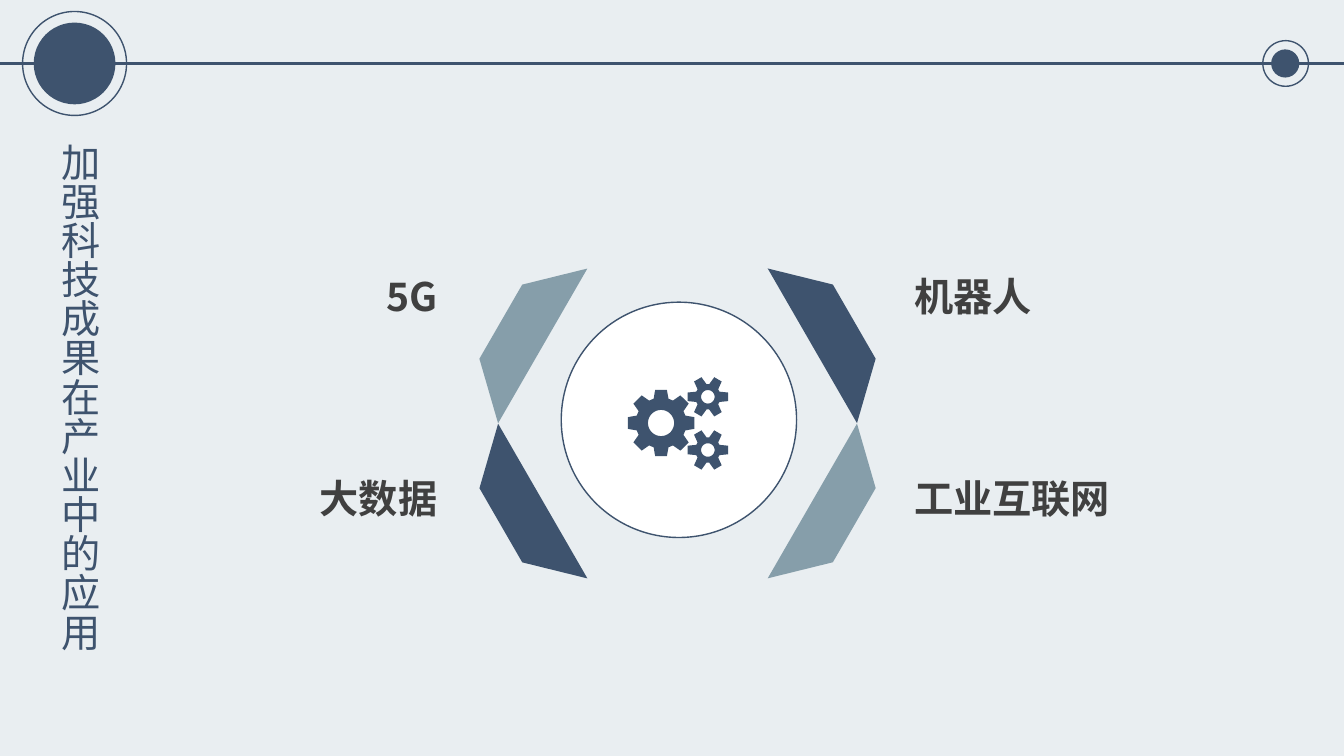
from dataclasses import dataclass
from itertools import product
from math import cos, radians, sin

from lxml.etree import SubElement
from pptx import Presentation
from pptx.dml.color import RGBColor
from pptx.enum.shapes import MSO_CONNECTOR, MSO_SHAPE
from pptx.enum.text import MSO_ANCHOR, MSO_AUTO_SIZE, PP_ALIGN
from pptx.oxml.ns import qn
from pptx.util import Cm, Pt


@dataclass(frozen=True)
class Theme:
    background: str = "E9EEF1"
    navy: str = "3E536E"
    steel: str = "869EAA"
    white: str = "FFFFFF"
    text: str = "404040"
    font: str = "Noto Sans CJK SC"
    size: int = 28
    thin: float = 1
    thick: float = 2


@dataclass(frozen=True)
class Disc:
    x: float
    y: float
    diameter: float
    fill: str | None = None
    line: str | None = None


@dataclass(frozen=True)
class Blade:
    x: float
    y: float
    rotation: int
    fill: str


@dataclass(frozen=True)
class Label:
    text: str
    x: float
    y: float
    align: PP_ALIGN


@dataclass(frozen=True)
class Gear:
    x: float
    y: float
    teeth: int
    tip: float
    root: float
    hole: float
    tip_angle: float
    root_angle: float


THEME = Theme()
SLIDE_W, SLIDE_H = 33.87, 19.05
RULE_Y = 1.6
BLADE_W, BLADE_H = 4.5, 1.22
LABEL_W, LABEL_H = 7.82, 1.19

# Centres of the discs, in cm
HUB = Disc(17.11, 10.58, 5.93, THEME.white, THEME.navy)
RULE_DISCS = [
    Disc(1.88, RULE_Y, 2.06, fill=THEME.navy),
    Disc(1.88, RULE_Y, 2.62, line=THEME.navy),
    Disc(32.39, RULE_Y, 0.71, fill=THEME.navy),
    Disc(32.4, RULE_Y, 1.15, line=THEME.navy),
]

# Centres of the blades around the hub
COLUMNS, ROWS = (13.15, 21.0), (8.41, 12.93)
BLADES = [
    Blade(x, y, rotation, fill)
    for (y, x), rotation, fill in zip(
        product(ROWS, COLUMNS),
        (300, 60, 240, 120),
        (THEME.steel, THEME.navy, THEME.navy, THEME.steel),
    )
]

LABELS = [
    Label(text, x, y, align)
    for y, texts in ((6.86, ("5G", "机器人")), (11.94, ("大数据", "工业互联网")))
    for text, x, align in zip(texts, (3.2, 23.04), (PP_ALIGN.RIGHT, PP_ALIGN.LEFT))
]

GEARS = [
    Gear(16.66, 10.66, 8, 0.85, 0.64, 0.33, 10, 17),
    *(Gear(17.84, y, 6, 0.52, 0.32, 0.17, 12, 24) for y in (10.0, 11.34)),
]


def paint(sp, fill: str | None = None, line: str | None = None) -> None:
    sp.shadow.inherit = False
    if fill:
        sp.fill.solid()
        sp.fill.fore_color.rgb = RGBColor.from_string(fill)
    else:
        sp.fill.background()
    if line:
        sp.line.color.rgb = RGBColor.from_string(line)
        sp.line.width = Pt(THEME.thin)
    else:
        sp.line.fill.background()


def add_disc(slide, disc: Disc) -> None:
    d = disc.diameter
    sp = slide.shapes.add_shape(
        MSO_SHAPE.OVAL, Cm(disc.x - d / 2), Cm(disc.y - d / 2), Cm(d), Cm(d))
    paint(sp, disc.fill, disc.line)


def add_blade(slide, blade: Blade) -> None:
    sp = slide.shapes.add_shape(
        MSO_SHAPE.TRAPEZOID, Cm(blade.x - BLADE_W / 2), Cm(blade.y - BLADE_H / 2),
        Cm(BLADE_W), Cm(BLADE_H))
    sp.adjustments[0] = 0.96
    sp.rotation = blade.rotation
    paint(sp, blade.fill)


def add_text(slide, text: str, x: float, y: float, w: float, h: float, *,
             color: str, bold: bool = False, align: PP_ALIGN = PP_ALIGN.LEFT,
             anchor: MSO_ANCHOR = MSO_ANCHOR.TOP, inset: float | None = None,
             vertical: bool = False) -> None:
    sp = slide.shapes.add_textbox(Cm(x), Cm(y), Cm(w), Cm(h))
    tf = sp.text_frame
    tf.word_wrap = True
    tf.auto_size = MSO_AUTO_SIZE.NONE
    tf.vertical_anchor = anchor
    if inset is not None:
        tf.margin_left = tf.margin_right = tf.margin_top = tf.margin_bottom = Cm(inset)
    if vertical:
        tf._txBody.bodyPr.set("vert", "eaVert")
    p = tf.paragraphs[0]
    p.alignment = align
    r = p.add_run()
    r.text = text
    r.font.name = THEME.font
    r.font.size = Pt(THEME.size)
    r.font.bold = bold
    r.font.color.rgb = RGBColor.from_string(color)
    SubElement(r._r.get_or_add_rPr(), qn("a:ea")).set("typeface", THEME.font)


def gear_contours(gear: Gear) -> list[list[tuple[int, int]]]:
    def point(radius: float, angle: float) -> tuple[int, int]:
        a = radians(angle)
        return Cm(gear.x + radius * cos(a)), Cm(gear.y + radius * sin(a))

    profile = ((gear.root, -gear.root_angle), (gear.tip, -gear.tip_angle),
               (gear.tip, gear.tip_angle), (gear.root, gear.root_angle))
    rim = [point(radius, tooth * 360 / gear.teeth + offset)
           for tooth in range(gear.teeth) for radius, offset in profile]
    hole = [point(gear.hole, -angle) for angle in range(0, 360, 10)]
    return [rim, hole]


def add_gears(slide, gears: list[Gear]) -> None:
    first, *others = [c for gear in gears for c in gear_contours(gear)]
    builder = slide.shapes.build_freeform(*first[0])
    builder.add_line_segments(first[1:])
    for contour in others:
        builder.move_to(*contour[0])
        builder.add_line_segments(contour[1:])
    paint(builder.convert_to_shape(), THEME.navy)


def add_rule(slide) -> None:
    cn = slide.shapes.add_connector(
        MSO_CONNECTOR.STRAIGHT, 0, Cm(RULE_Y), Cm(SLIDE_W), Cm(RULE_Y))
    cn.line.color.rgb = RGBColor.from_string(THEME.navy)
    cn.line.width = Pt(THEME.thick)
    SubElement(cn._element.spPr, qn("a:effectLst"))


def main() -> None:
    prs = Presentation()
    prs.slide_width, prs.slide_height = Cm(SLIDE_W), Cm(SLIDE_H)
    slide = prs.slides.add_slide(prs.slide_layouts[6])
    slide.background.fill.solid()
    slide.background.fill.fore_color.rgb = RGBColor.from_string(THEME.background)

    # Hub with gears, ringed by blades
    add_disc(slide, HUB)
    for blade in BLADES:
        add_blade(slide, blade)
    add_gears(slide, GEARS)

    # Technology labels
    for label in LABELS:
        add_text(slide, label.text, label.x, label.y, LABEL_W, LABEL_H, inset=0,
                 color=THEME.text, bold=True, align=label.align,
                 anchor=MSO_ANCHOR.MIDDLE)

    # Top rule and vertical title
    add_rule(slide)
    for disc in RULE_DISCS:
        add_disc(slide, disc)
    add_text(slide, "加强科技成果在产业中的应用", 1.02, 3.35, 1.7, 14.1,
             color=THEME.navy, vertical=True)
    prs.save("out.pptx")


if __name__ == "__main__":
    main()
